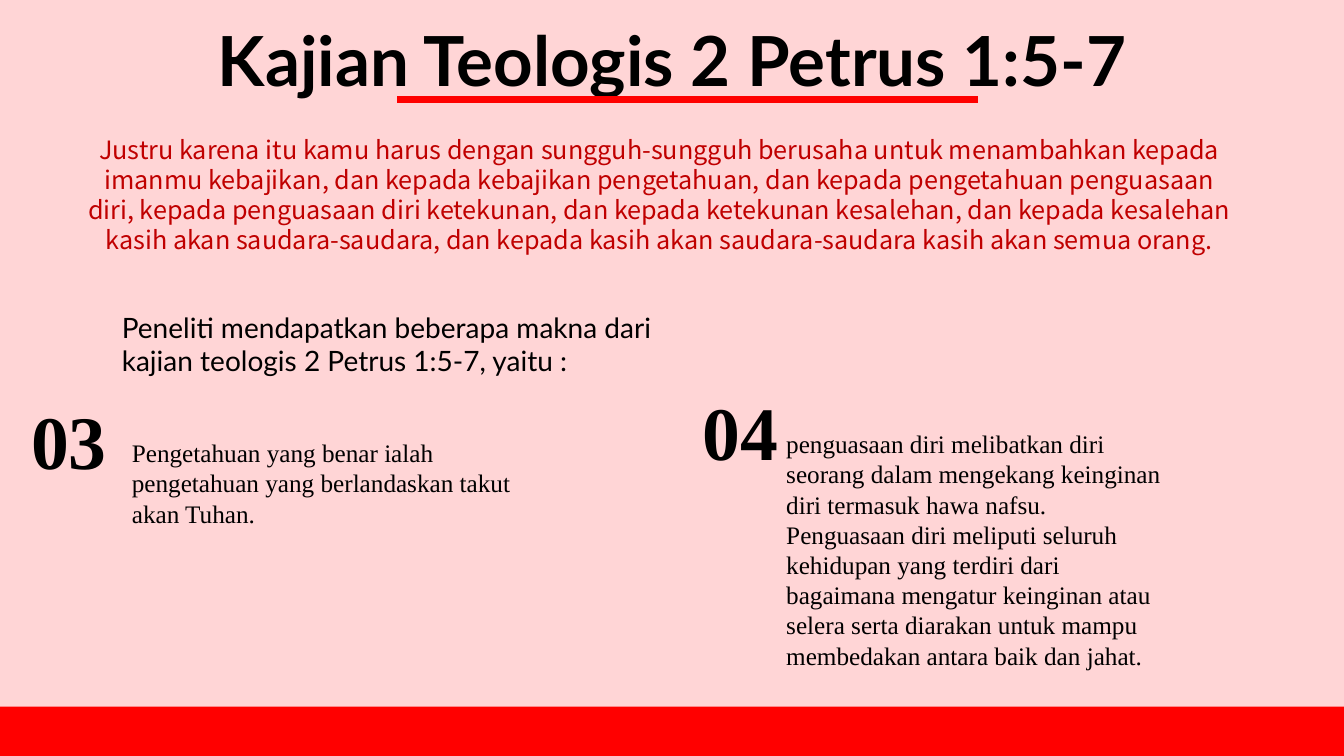
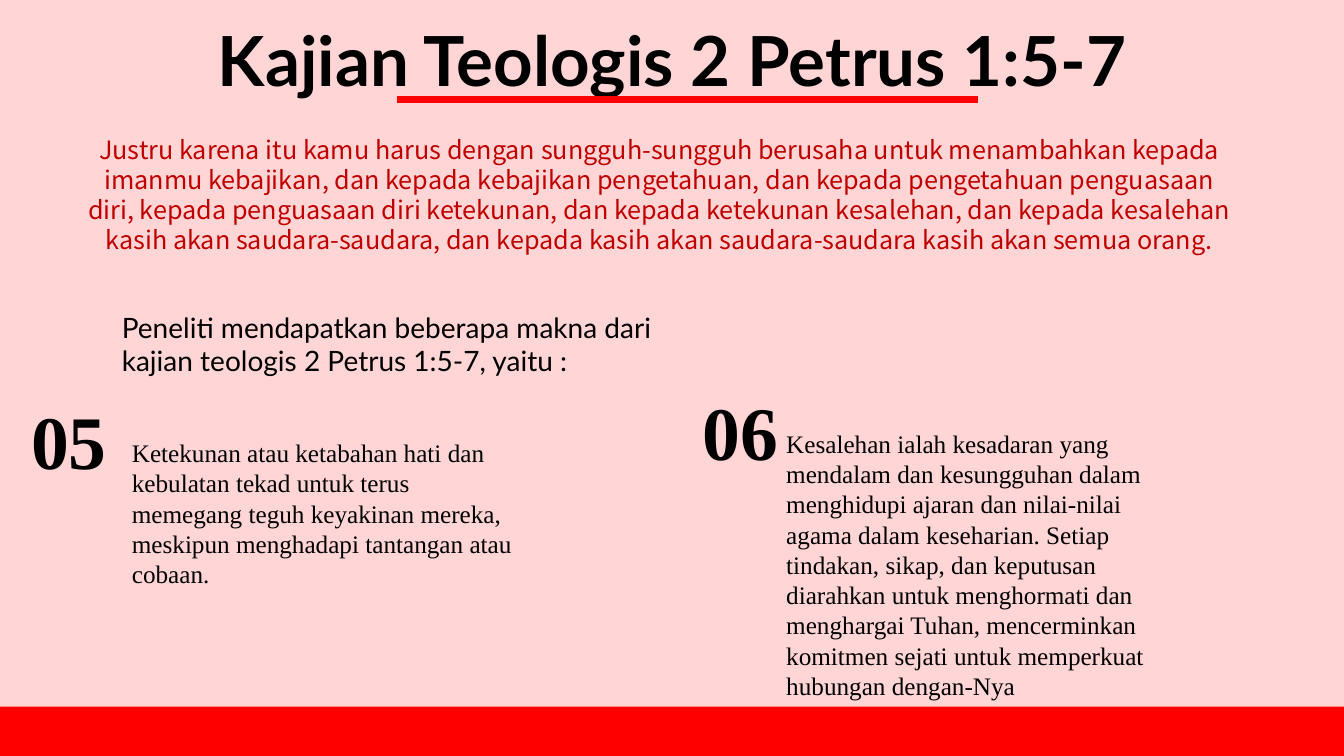
import pptx
import pptx.dml.color
import pptx.enum.shapes
import pptx.enum.text
import pptx.oxml
import pptx.util

Inches = pptx.util.Inches
Pt = pptx.util.Pt
PP_ALIGN = pptx.enum.text.PP_ALIGN

PINK, RED, DARK_RED, BLACK = "FFD5D6", "FF0000", "C00000", "000000"
HEADING_FONT, VERSE_FONT, BODY_FONT = "Lato", "Noto Sans CJK KR", "Times New Roman"

TITLE = "Kajian Teologis 2 Petrus 1:5-7"
VERSE = (
    "Justru karena itu kamu harus dengan sungguh-sungguh berusaha untuk menambahkan "
    "kepada imanmu kebajikan, dan kepada kebajikan pengetahuan, dan kepada pengetahuan "
    "penguasaan diri, kepada penguasaan diri ketekunan, dan kepada ketekunan kesalehan, "
    "dan kepada kesalehan kasih akan saudara-saudara, dan kepada kasih akan "
    "saudara-saudara kasih akan semua orang."
)
INTRO = "Peneliti mendapatkan beberapa makna dari kajian teologis 2 Petrus 1:5-7, yaitu :"

# Each slide: (number, meaning, height of the text) for the left and right columns
SLIDES = [
    [
        ("03", "Pengetahuan yang benar ialah pengetahuan yang berlandaskan takut akan Tuhan.",
         1.01),
        ("04", "penguasaan diri melibatkan diri seorang dalam mengekang keinginan diri "
               "termasuk hawa nafsu. Penguasaan diri meliputi seluruh kehidupan yang terdiri "
               "dari bagaimana mengatur keinginan atau selera serta diarakan untuk mampu "
               "membedakan antara baik dan jahat.", 2.52),
    ],
    [
        ("05", "Ketekunan atau ketabahan hati dan kebulatan tekad untuk terus memegang teguh "
               "keyakinan mereka, meskipun menghadapi tantangan atau cobaan.", 1.62),
        ("06", "Kesalehan ialah kesadaran yang mendalam dan kesungguhan dalam menghidupi "
               "ajaran dan nilai-nilai agama dalam keseharian. Setiap tindakan, sikap, dan "
               "keputusan diarahkan untuk menghormati dan menghargai Tuhan, mencerminkan "
               "komitmen sejati untuk memperkuat hubungan dengan-Nya", 2.83),
    ],
]
# Left of the number, left of the text, top of the number
COLUMNS = [(0.21, 1.21, 3.86), (6.87, 7.7, 3.77)]
TEXT_DROP = 0.43


def rgb(color):
    return pptx.dml.color.RGBColor.from_string(color)


def write(sp, box, text, size, font, color=BLACK, bold=False, align=PP_ALIGN.LEFT, inset=True):
    """Place a title or text box and fill it with one formatted run."""
    sp.left, sp.top, sp.width, sp.height = [Inches(v) for v in box]
    tf = sp.text_frame
    tf.word_wrap = True
    tf.auto_size = pptx.enum.text.MSO_AUTO_SIZE.NONE
    tf.vertical_anchor = pptx.enum.text.MSO_ANCHOR.TOP
    if not inset:
        tf.margin_left = tf.margin_top = tf.margin_right = tf.margin_bottom = 0
    p = tf.paragraphs[0]
    p.alignment = align
    r = p.add_run()
    r.text = text
    r.font.size = Pt(size)
    r.font.name = font
    r.font.bold = bold
    r.font.color.rgb = rgb(color)
    return p


prs = pptx.Presentation()
prs.slide_width, prs.slide_height = Inches(13.33), Inches(7.5)
fill = prs.slide_master.background.fill
fill.solid()
fill.fore_color.rgb = rgb(PINK)

for points in SLIDES:
    s = prs.slides.add_slide(prs.slide_layouts[5])

    band = s.shapes.add_shape(pptx.enum.shapes.MSO_SHAPE.RECTANGLE,
                              0, Inches(7.01), prs.slide_width, Inches(0.49))
    band.shadow.inherit = False
    band.fill.solid()
    band.fill.fore_color.rgb = rgb(RED)
    band.line.fill.background()

    p = write(s.shapes.title, (0.93, 0.17, 11.48, 0.83), TITLE, 49.3, HEADING_FONT,
              bold=True, align=PP_ALIGN.CENTER, inset=False)
    p.line_spacing = Pt(59.2)

    underline = s.shapes.add_connector(pptx.enum.shapes.MSO_CONNECTOR.STRAIGHT,
                                       Inches(3.94), Inches(0.99), Inches(9.7), Inches(0.99))
    underline.line.color.rgb = rgb(RED)
    underline.line.width = Pt(5)
    underline._element.spPr.append(pptx.oxml.parse_xml(
        '<a:effectLst xmlns:a="http://schemas.openxmlformats.org/drawingml/2006/main"/>'))

    write(s.shapes.add_textbox(0, 0, 0, 0), (0.8, 1.33, 11.48, 1.51), VERSE, 18, VERSE_FONT,
          color=DARK_RED, align=PP_ALIGN.CENTER, inset=False)
    write(s.shapes.add_textbox(0, 0, 0, 0), (1.11, 3.03, 5.55, 0.77), INTRO, 20, HEADING_FONT)

    for (number, meaning, height), (number_x, text_x, top) in zip(points, COLUMNS):
        write(s.shapes.add_textbox(0, 0, 0, 0), (number_x, top, 1, 1.01), number, 54,
              BODY_FONT, bold=True)
        write(s.shapes.add_textbox(0, 0, 0, 0), (text_x, top + TEXT_DROP, 4, height), meaning,
              18, BODY_FONT)

prs.save("out.pptx")
